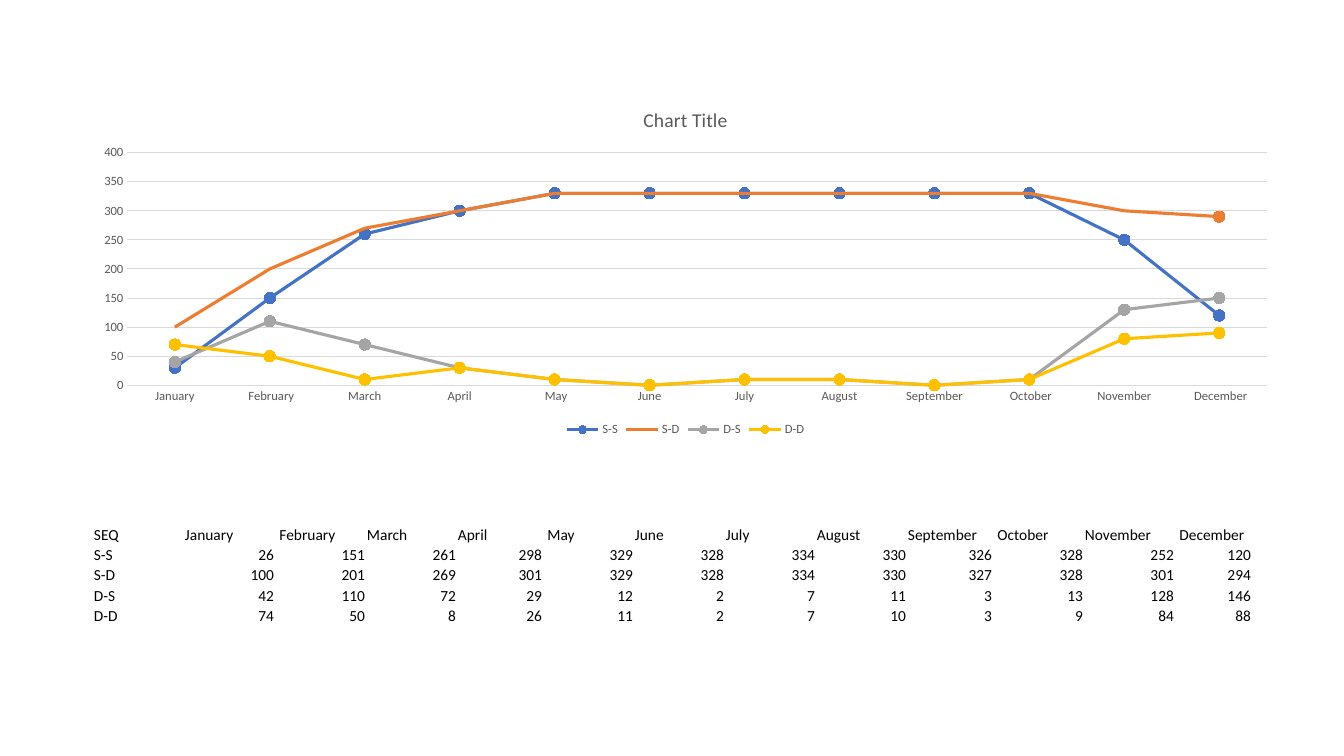
from dataclasses import dataclass

from pptx import Presentation
from pptx.chart.data import CategoryChartData
from pptx.dml.color import RGBColor
from pptx.enum.chart import XL_CHART_TYPE, XL_LEGEND_POSITION, XL_MARKER_STYLE, XL_TICK_MARK
from pptx.enum.text import MSO_ANCHOR, PP_ALIGN
from pptx.util import Pt

SCALE = 914400 / 100.8


@dataclass(frozen=True)
class Theme:
    face: str = "Calibri"
    ink: str = "000000"
    gray: str = "595959"
    rule: str = "D9D9D9"
    hues: tuple = ("4472C4", "ED7D31", "A5A5A5", "FFC000")
    title: int = 14
    base: int = 10
    label: int = 9
    cell: int = 11
    thin: float = 0.75
    thick: float = 2.25
    dot: int = 8


THEME = Theme()

MONTHS = ["January", " February", "March", "April", " May", "June", "July",
          "August", "September", " October", "November", " December"]
COUNTS = {
    "S-S": [26, 151, 261, 298, 329, 328, 334, 330, 326, 328, 252, 120],
    "S-D": [100, 201, 269, 301, 329, 328, 334, 330, 327, 328, 301, 294],
    "D-S": [42, 110, 72, 29, 12, 2, 7, 11, 3, 13, 128, 146],
    "D-D": [74, 50, 8, 26, 11, 2, 7, 10, 3, 9, 84, 88],
}
END_DOT = "S-D"  # this line has a marker on its last month only


def px(count):
    return round(count * SCALE)


def set_font(font, size, color):
    font.name = THEME.face
    font.size = Pt(size)
    font.bold = False
    font.color.rgb = RGBColor.from_string(color)


def set_line(line, color, width):
    line.color.rgb = RGBColor.from_string(color)
    line.width = Pt(width)


def set_dot(marker, color):
    marker.style = XL_MARKER_STYLE.CIRCLE
    marker.size = THEME.dot
    marker.format.fill.solid()
    marker.format.fill.fore_color.rgb = RGBColor.from_string(color)
    set_line(marker.format.line, color, THEME.thin)


def style_axes(chart):
    months, counts = chart.category_axis, chart.value_axis
    for axis in (months, counts):
        axis.major_tick_mark = axis.minor_tick_mark = XL_TICK_MARK.NONE
        set_font(axis.tick_labels.font, THEME.label, THEME.gray)
    set_line(months.format.line, THEME.rule, THEME.thin)
    counts.minimum_scale, counts.maximum_scale = 0, 400
    counts.major_unit = 50
    counts.format.line.fill.background()
    set_line(counts.major_gridlines.format.line, THEME.rule, THEME.thin)


def style_series(series, color):
    series.smooth = False
    set_line(series.format.line, color, THEME.thick)
    if series.name == END_DOT:
        series.marker.style = XL_MARKER_STYLE.NONE
        last = series.points[len(MONTHS) - 1]
        set_dot(last.marker, color)
        set_line(last.format.line, color, THEME.thick)
    else:
        set_dot(series.marker, color)


def add_lines(slide, left, top, width, height):
    """Chart the counts, rounded to tens."""
    data = CategoryChartData()
    data.categories = MONTHS
    for name, counts in COUNTS.items():
        data.add_series(name, [round(count, -1) for count in counts])
    frame = slide.shapes.add_chart(XL_CHART_TYPE.LINE_MARKERS, px(left), px(top),
                                   px(width), px(height), data)
    chart = frame.chart
    set_font(chart.font, THEME.base, THEME.ink)
    chart.has_title = True
    title = chart.chart_title
    title.include_in_layout = False
    title.text_frame.text = "Chart Title"
    set_font(title.text_frame.paragraphs[0].font, THEME.title, THEME.gray)
    chart.has_legend = True
    chart.legend.position = XL_LEGEND_POSITION.BOTTOM
    chart.legend.include_in_layout = False
    set_font(chart.legend.font, THEME.label, THEME.gray)
    style_axes(chart)
    plot = chart.plots[0]
    plot.vary_by_categories = False
    for series, color in zip(plot.series, THEME.hues):
        style_series(series, color)


def fill_cell(cell, value):
    """Write one value, with numbers set to the right."""
    cell.fill.background()
    cell.margin_left = cell.margin_top = cell.margin_right = px(1)
    cell.margin_bottom = 0
    cell.vertical_anchor = MSO_ANCHOR.BOTTOM
    cell.text = str(value)
    para = cell.text_frame.paragraphs[0]
    para.alignment = PP_ALIGN.RIGHT if isinstance(value, int) else PP_ALIGN.LEFT
    set_font(para.font, THEME.cell, THEME.ink)


def add_grid(slide, left, top, widths, heights):
    rows = [["SEQ", *MONTHS]] + [[name, *counts] for name, counts in COUNTS.items()]
    frame = slide.shapes.add_table(len(rows), len(widths), px(left), px(top),
                                   px(sum(widths)), px(sum(heights)))
    table = frame.table
    table.first_row = table.horz_banding = False
    for column, width in zip(table.columns, widths):
        column.width = px(width)
    for line, height in zip(table.rows, heights):
        line.height = px(height)
    for r, row in enumerate(rows):
        for c, value in enumerate(row):
            fill_cell(table.cell(r, c), value)


def main():
    deck = Presentation()
    deck.slide_width, deck.slide_height = px(1344), px(756)
    slide = deck.slides.add_slide(deck.slide_layouts[6])
    add_lines(slide, 80, 90, 1211, 351)
    widths = [91] * 4 + [86] + [91] * 4 + [86] + [91] * 2 + [77]
    add_grid(slide, 93, 524, widths, [21, 20, 20, 21, 20])
    deck.save("out.pptx")


if __name__ == "__main__":
    main()
